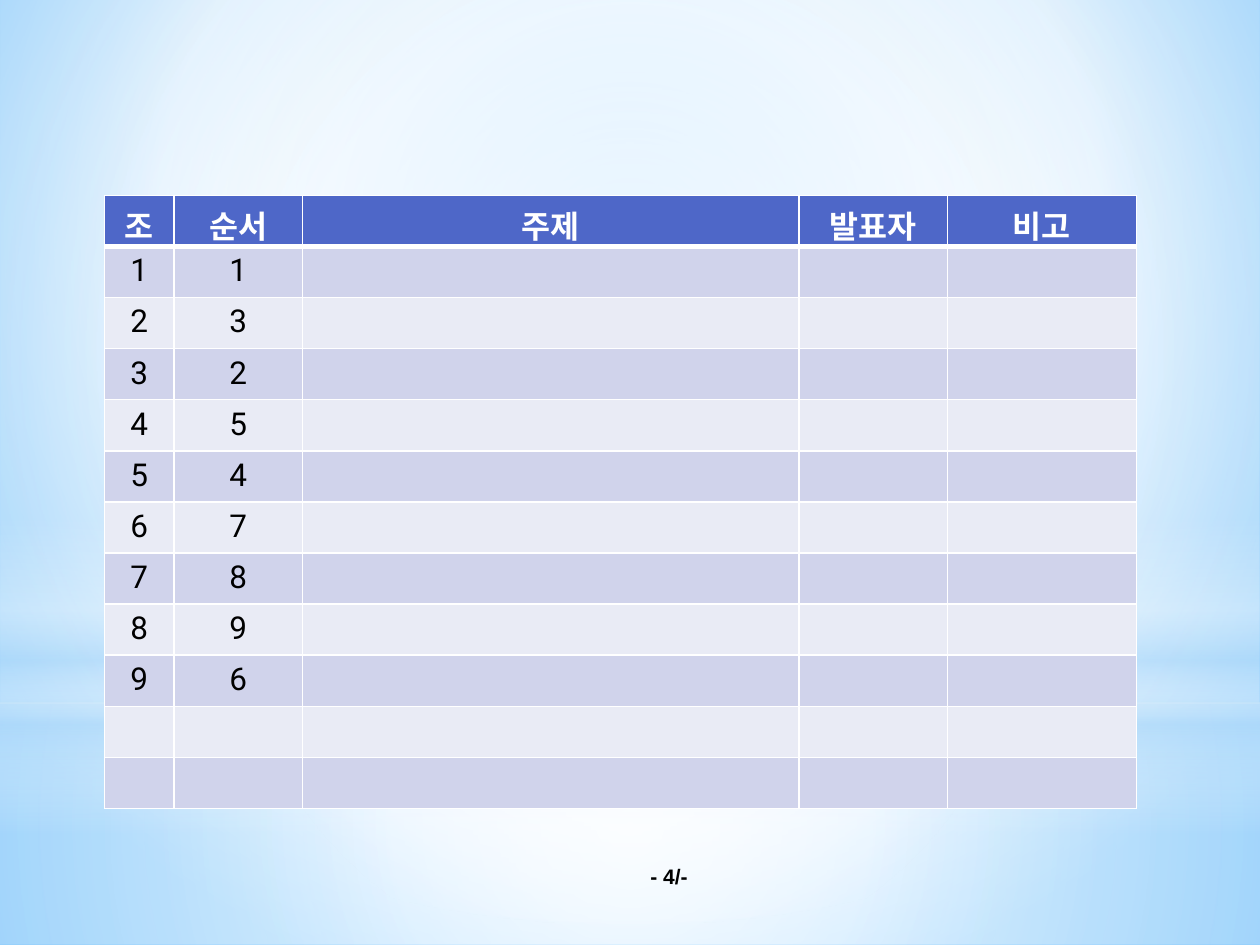
import dataclasses
import typing

import pptx
import pptx.dml.color
import pptx.enum.shapes
import pptx.enum.text
import pptx.oxml
import pptx.oxml.ns
import pptx.util
from pptx.util import Inches

COLORS = {
    "white": "FFFFFF", "black": "000000", "haze": "B4DCFA",
    "sky": "9ED5FF", "deep_sky": "5BB9FF",
    "header": "4E67C8", "odd_row": "D0D3EB", "even_row": "E9EBF5",
}
Stop = tuple[int, str, int]  # position %, colour name, opacity %
CENTER = (50, 50, 50, 50)


@dataclasses.dataclass
class Gradient:
    stops: list[Stop]
    focus: typing.Optional[tuple[int, int, int, int]] = CENTER  # None: linear, downwards


@dataclasses.dataclass
class Glow:
    top: float
    height: float
    gradient: Gradient
    preset: pptx.enum.shapes.MSO_SHAPE = pptx.enum.shapes.MSO_SHAPE.RECTANGLE


BACKDROP = Gradient([(0, "sky", 100), (60, "white", 100), (100, "deep_sky", 100)],
                    (20, 10, 20, 60))
GLOWS = [
    Glow(5.58, 1.92, Gradient([(0, "white", 91), (37, "white", 76), (100, "haze", 79)])),
    Glow(0, 5.58, Gradient([(0, "white", 89), (48, "white", 62), (100, "haze", 79)])),
    Glow(4.12, 2.5, Gradient([(0, "white", 0), (29, "white", 30), (45, "haze", 40),
                              (55, "white", 26), (65, "haze", 60), (100, "white", 0)], None)),
    Glow(1.75, 5.58, Gradient([(0, "white", 100), (56, "white", 0)]),
         pptx.enum.shapes.MSO_SHAPE.OVAL),
]

HEADINGS = ["조", "순서", "주제", "발표자", "비고"]
ORDER = [1, 3, 2, 5, 4, 7, 8, 9, 6]  # speaking order of groups 1 to 9
COLUMN_WIDTHS = [0.55, 1.02, 3.94, 1.18, 1.5]
ROW_COUNT = 12
TABLE_HEIGHT = 4.87


def rgb(name: str) -> pptx.dml.color.RGBColor:
    return pptx.dml.color.RGBColor.from_string(COLORS[name])


def set_gradient(fill: pptx.dml.fill.FillFormat, owner, gradient: Gradient) -> None:
    """Give the fill inside the owner element its own stops and direction."""
    fill.gradient()
    stops = "".join(
        f'<a:gs pos="{position * 1000}"><a:srgbClr val="{COLORS[color]}">'
        f'<a:alpha val="{opacity * 1000}"/></a:srgbClr></a:gs>'
        for position, color, opacity in gradient.stops)
    if gradient.focus is None:
        direction = '<a:lin ang="5400000" scaled="0"/>'
    else:
        sides = " ".join(f'{side}="{value * 1000}"' for side, value in zip("ltrb", gradient.focus))
        direction = f'<a:path path="circle"><a:fillToRect {sides}/></a:path>'
    old = next(owner.iter(pptx.oxml.ns.qn("a:gradFill")))
    new = pptx.oxml.parse_xml(
        f'<a:gradFill {pptx.oxml.ns.nsdecls("a")} rotWithShape="1">'
        f'<a:gsLst>{stops}</a:gsLst>{direction}</a:gradFill>')
    old.getparent().replace(old, new)


def add_glow(page: pptx.slide.Slide, glow: Glow) -> None:
    shape = page.shapes.add_shape(glow.preset, 0, Inches(glow.top), Inches(10), Inches(glow.height))
    shape.shadow.inherit = False
    shape.line.fill.background()
    set_gradient(shape.fill, shape._element.spPr, glow.gradient)


def write(frame: pptx.text.text.TextFrame, text: str, font: str, size: int,
          color: str, bold: bool) -> None:
    frame.text = text
    para = frame.paragraphs[0]
    para.alignment = pptx.enum.text.PP_ALIGN.CENTER
    for span in para.runs:
        span.font.name = font
        span.font.size = pptx.util.Pt(size)
        span.font.bold = bold
        span.font.color.rgb = rgb(color)


def set_borders(cell: pptx.table._Cell, bottom: int, top: int) -> None:
    properties = cell._tc.get_or_add_tcPr()
    for side, points in {"L": 1, "R": 1, "T": top, "B": bottom}.items():
        properties.append(pptx.oxml.parse_xml(
            f'<a:ln{side} {pptx.oxml.ns.nsdecls("a")} w="{pptx.util.Pt(points)}">'
            f'<a:solidFill><a:srgbClr val="{COLORS["white"]}"/></a:solidFill></a:ln{side}>'))


def add_schedule(page: pptx.slide.Slide) -> None:
    table = page.shapes.add_table(
        ROW_COUNT, len(HEADINGS), Inches(0.83), Inches(1.55),
        Inches(sum(COLUMN_WIDTHS)), Inches(TABLE_HEIGHT)).table
    for column, width in zip(table.columns, COLUMN_WIDTHS):
        column.width = Inches(width)

    content = [HEADINGS] + [[str(group), str(turn)] for group, turn in enumerate(ORDER, 1)]
    for r, row in enumerate(table.rows):
        row.height = Inches(TABLE_HEIGHT / ROW_COUNT)
        is_header = r == 0
        band = "header" if is_header else "odd_row" if r % 2 else "even_row"
        texts = content[r] if r < len(content) else []
        for c, cell in enumerate(row.cells):
            set_borders(cell, bottom=3 if is_header else 1, top=3 if r == 1 else 1)
            cell.fill.solid()
            cell.fill.fore_color.rgb = rgb(band)
            if c < len(texts):
                write(cell.text_frame, texts[c], "Roboto", 18,
                      "white" if is_header else "black", is_header)


def add_page_number(page: pptx.slide.Slide) -> None:
    box = page.shapes.add_textbox(Inches(4.84), Inches(6.8), Inches(0.94), Inches(0.3))
    box.text_frame.word_wrap = True
    box.text_frame.vertical_anchor = pptx.enum.text.MSO_ANCHOR.MIDDLE
    write(box.text_frame, "- 4/-", "Arial", 12, "black", True)


def main() -> None:
    deck = pptx.Presentation()
    deck.slide_width, deck.slide_height = Inches(10), Inches(7.5)
    page = deck.slides.add_slide(deck.slide_layouts[6])

    # Sky backdrop
    set_gradient(page.background.fill, page._element, BACKDROP)
    for glow in GLOWS:
        add_glow(page, glow)

    # Page number and presentation schedule
    add_page_number(page)
    add_schedule(page)
    deck.save("out.pptx")


if __name__ == "__main__":
    main()
